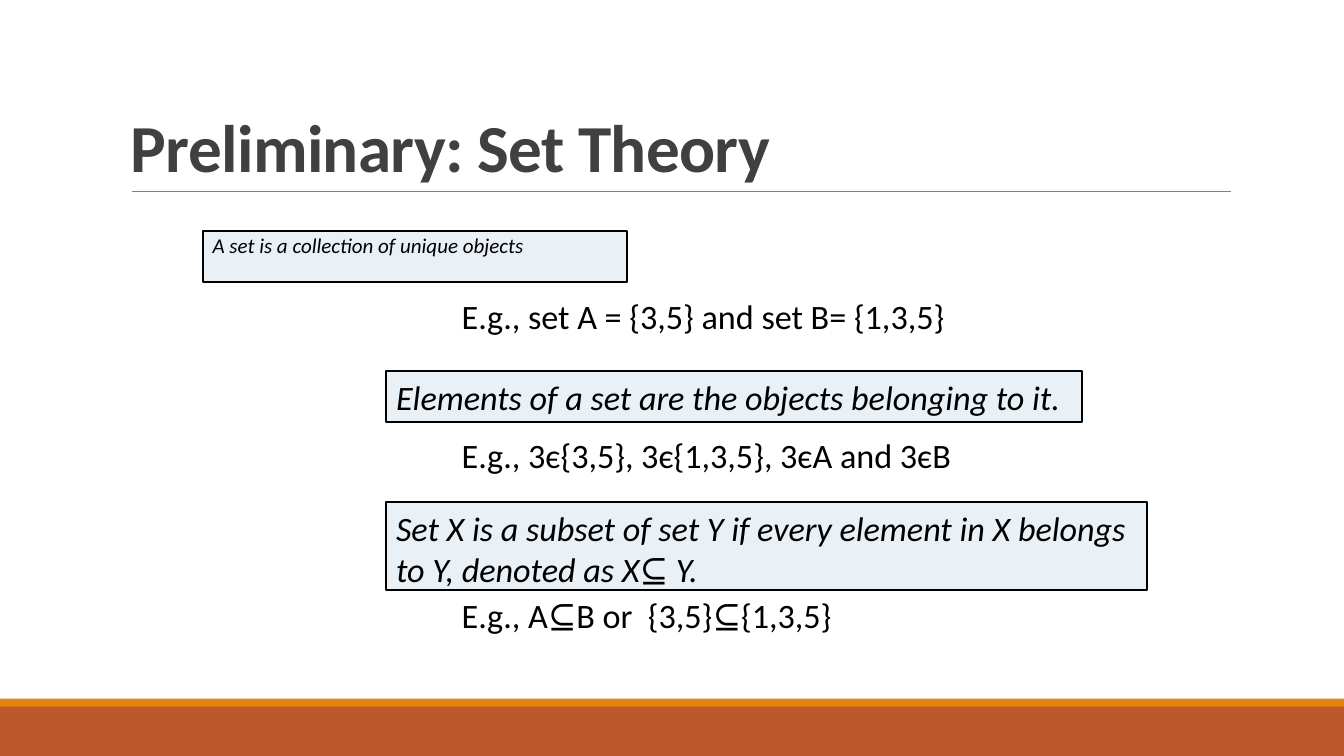
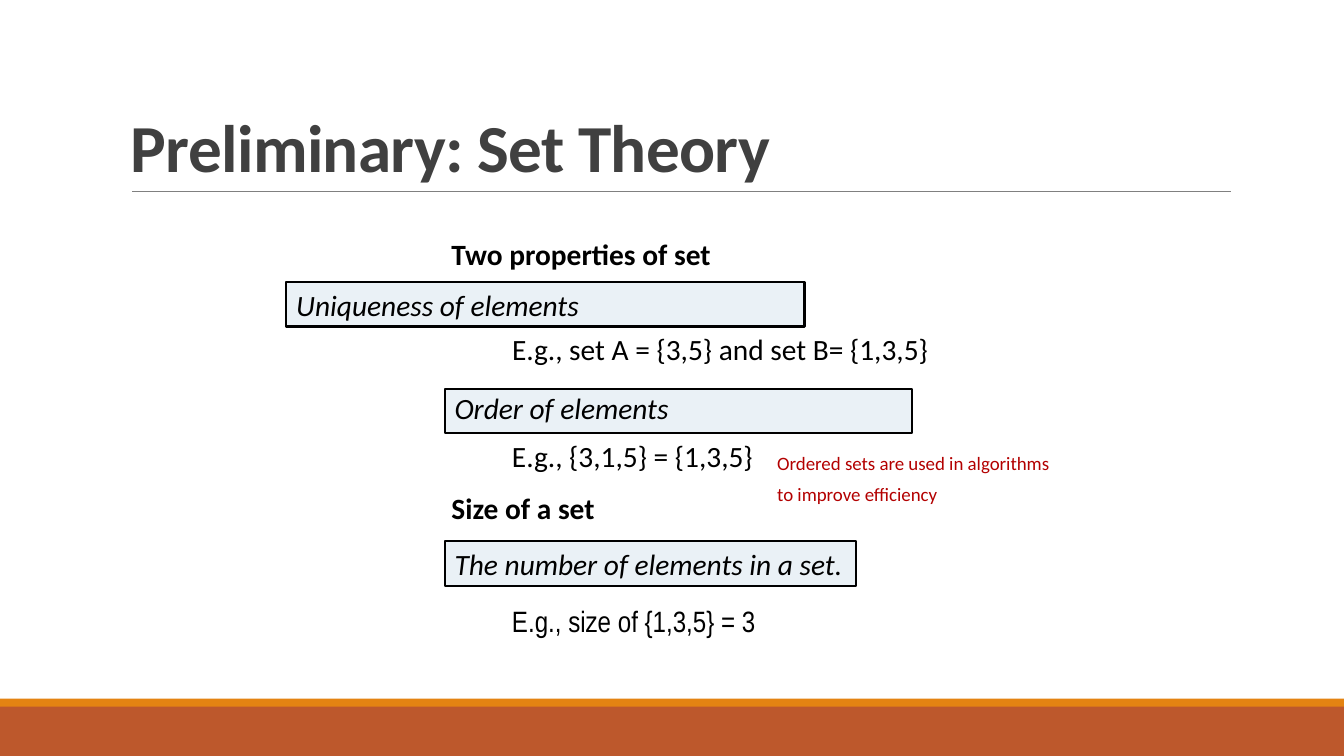
from dataclasses import dataclass
from itertools import groupby

from lxml.etree import SubElement
from pptx import Presentation
from pptx.dml.color import RGBColor
from pptx.enum.shapes import MSO_CONNECTOR, MSO_SHAPE
from pptx.enum.text import MSO_ANCHOR, MSO_AUTO_SIZE, PP_ALIGN
from pptx.oxml.ns import qn
from pptx.util import Inches, Pt


@dataclass(frozen=True)
class Theme:
    rust: str = "BD582C"
    orange: str = "E48312"
    rule: str = "808080"
    title: str = "404040"
    ink: str = "000000"
    panel: str = "CCDDEA"
    note: str = "B30000"
    font: str = "Calibri"
    symbol_font: str = "Cambria"
    narrow_font: str = "Arial Narrow"
    title_size: float = 48
    large: float = 24.4
    medium: float = 21
    small: float = 15
    note_size: float = 13.5
    panel_alpha: int = 40000


THEME = Theme()


@dataclass(frozen=True)
class Box:
    left: float
    top: float
    width: float
    height: float

    def inside(self, left, top, width, height):
        return Box(self.left + left, self.top + top, width, height)

    def lengths(self):
        return [Inches(value) for value in (self.left, self.top, self.width, self.height)]


SLIDE = Box(0, 0, 13.33, 7.5)


def color(code):
    return RGBColor.from_string(code)


def add_spans(para, text, size, ink=THEME.ink, font=THEME.font, bold=False, italic=False):
    for is_symbol, letters in groupby(text, lambda letter: letter == "⊆"):
        span = para.add_run()
        span.text = "".join(letters)
        span.font.name = THEME.symbol_font if is_symbol else font
        span.font.size = Pt(size)
        span.font.bold = bold
        span.font.italic = italic
        span.font.color.rgb = color(ink)


def add_rectangle(page, box, fill):
    shape = page.shapes.add_shape(MSO_SHAPE.RECTANGLE, *box.lengths())
    shape.shadow.inherit = False
    shape.fill.solid()
    shape.fill.fore_color.rgb = color(fill)
    shape.line.fill.background()
    return shape


def add_text(page, box, text, size, **style):
    shape = page.shapes.add_textbox(*box.lengths())
    shape.text_frame.word_wrap = True
    add_spans(shape.text_frame.paragraphs[0], text, size, **style)
    return shape


def add_label(page, box, lines, size, **style):
    frame = page.shapes.add_textbox(*box.lengths()).text_frame
    frame.word_wrap = False
    frame.auto_size = MSO_AUTO_SIZE.SHAPE_TO_FIT_TEXT
    for index, line in enumerate(lines):
        para = frame.add_paragraph() if index else frame.paragraphs[0]
        para.space_after = Pt(6)
        add_spans(para, line, size, **style)


def add_definition(page, box, text, size, spacing=1.0):
    shape = add_rectangle(page, box, THEME.panel)
    tint = shape.fill._xPr.find(qn("a:solidFill"))[0]
    SubElement(tint, qn("a:alpha"), val=str(THEME.panel_alpha))
    shape.line.color.rgb = color(THEME.ink)
    shape.line.width = Pt(1.5)
    frame = shape.text_frame
    frame.word_wrap = True
    frame.vertical_anchor = MSO_ANCHOR.TOP
    para = frame.paragraphs[0]
    para.alignment = PP_ALIGN.LEFT
    para.line_spacing = spacing
    add_spans(para, text, size, italic=True)


def add_bands(page, box):
    add_rectangle(page, box.inside(0, 0.07, box.width, 0.5), THEME.rust)
    add_rectangle(page, box.inside(0, 0, box.width, 0.08), THEME.orange)


def add_title(page, box, text):
    bottom = Inches(box.top + box.height)
    rule = page.shapes.add_connector(
        MSO_CONNECTOR.STRAIGHT, Inches(box.left + 0.11), bottom, Inches(box.left + 11.01), bottom
    )
    rule.line.color.rgb = color(THEME.rule)
    rule.line.width = Pt(0.5)
    SubElement(rule._element.spPr, qn("a:effectLst"))
    frame = add_text(page, box, text, THEME.title_size, ink=THEME.title, bold=True).text_frame
    frame.vertical_anchor = MSO_ANCHOR.BOTTOM
    para = frame.paragraphs[0]
    para.line_spacing = 0.85
    for span in para.runs:
        span.font._element.set("spc", "-50")


def add_page(deck, title):
    page = deck.slides.add_slide(deck.slide_layouts[6])
    add_bands(page, SLIDE.inside(0, 6.93, SLIDE.width, 0.57))
    add_title(page, SLIDE.inside(1.2, 0.31, 11, 1.59), title)
    return page


def add_set_basics(page, body):
    size = THEME.large
    for left, top, width, height, text, text_size, spacing in (
        (0, 0, 4.21, 0.51, "A set is a collection of unique objects", THEME.small, 0.9),
        (1.82, 1.39, 6.9, 0.51, "Elements of a set are the objects belonging to it.", size, 1.0),
        (1.82, 2.69, 7.55, 0.87,
         "Set X is a subset of set Y if every element in X belongs to Y, denoted as X⊆ Y.", size, 1.0),
    ):
        add_definition(page, body.inside(left, top, width, height), text, text_size, spacing)
    for top, width, text in (
        (0.59, 5.08, "E.g., set A = {3,5} and set B= {1,3,5}"),
        (1.97, 5.38, "E.g., 3є{3,5}, 3є{1,3,5}, 3єA and 3єB"),
        (3.56, 5.38, "E.g., A⊆B or  {3,5}⊆{1,3,5}"),
    ):
        add_text(page, body.inside(2.47, top, width, 0.58), text, size)


def add_set_properties(page, body):
    size = THEME.medium
    for left, top, width, text, spacing in (
        (0, 0.51, 5.14, "Uniqueness of elements", 1.0),
        (1.57, 1.57, 4.64, "Order of elements", 0.9),
        (1.57, 3.08, 4.08, "The number of elements in a set.", 1.0),
    ):
        add_definition(page, body.inside(left, top, width, 0.44), text, size, spacing)
    for top, width, text, font in (
        (0.95, 4.39, "E.g., set A = {3,5} and set B= {1,3,5}", THEME.font),
        (2.01, 4.64, "E.g., {3,1,5} = {1,3,5}", THEME.font),
        (3.64, 4.64, "E.g., size of {1,3,5} = 3", THEME.narrow_font),
    ):
        add_text(page, body.inside(2.14, top, width, 0.5), text, size, font=font)
    for top, width, text in ((0, 2.8, "Two properties of set"), (2.52, 1.64, "Size of a set")):
        add_label(page, body.inside(1.54, top, width, 0.45), [text], size, bold=True)
    add_label(
        page, body.inside(4.77, 2.14, 2.98, 0.64),
        ["Ordered sets are used in algorithms", "to improve efficiency"],
        THEME.note_size, ink=THEME.note,
    )


def main():
    deck = Presentation()
    deck.slide_width = Inches(SLIDE.width)
    deck.slide_height = Inches(SLIDE.height)
    for add_body, body in (
        (add_set_basics, SLIDE.inside(2.01, 2.29, 9.37, 4.14)),
        (add_set_properties, SLIDE.inside(2.84, 2.29, 7.75, 4.14)),
    ):
        add_body(add_page(deck, "Preliminary: Set Theory"), body)
    deck.save("out.pptx")


if __name__ == "__main__":
    main()
